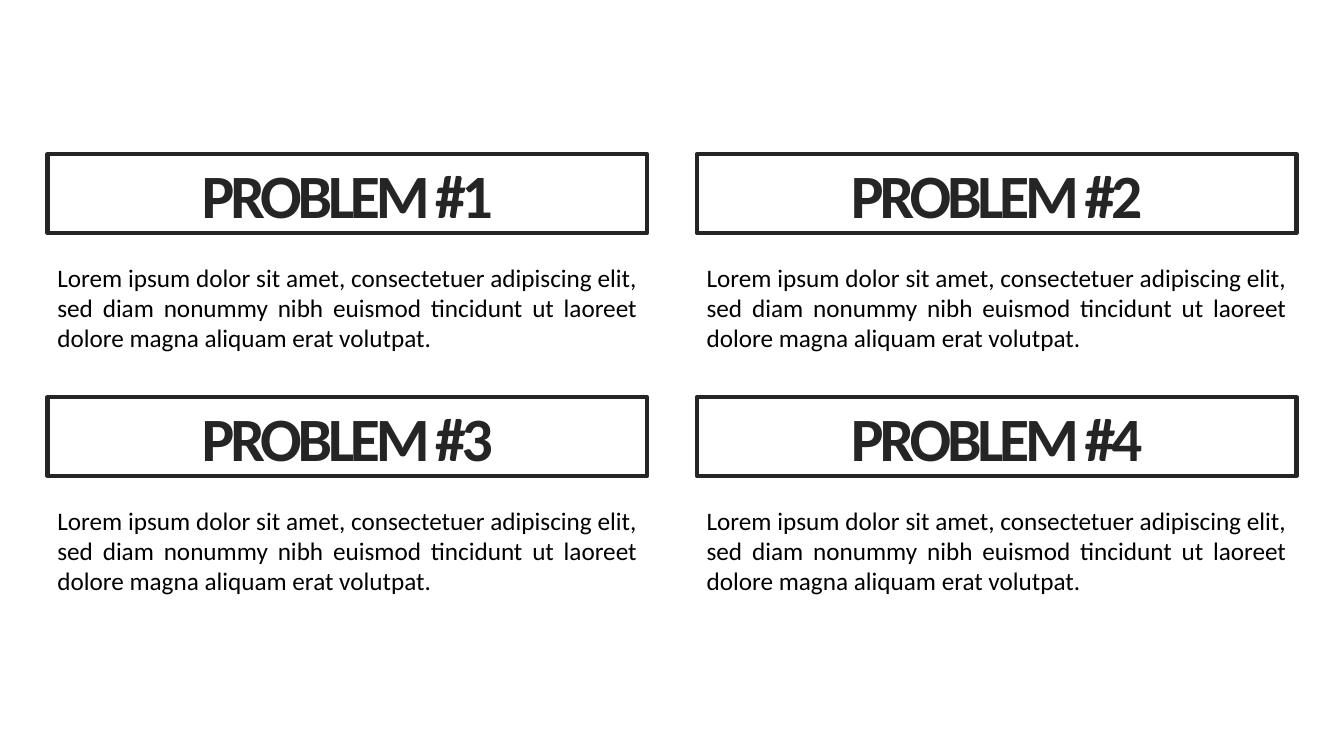
from pptx import Presentation
from pptx.dml.color import RGBColor
from pptx.enum.shapes import MSO_SHAPE
from pptx.enum.text import MSO_ANCHOR, MSO_AUTO_SIZE, PP_ALIGN
from pptx.util import Emu, Pt

PROBLEMS = ["PROBLEM #1", "PROBLEM #2", "PROBLEM #3", "PROBLEM #4"]
DESCRIPTION = (
    "Lorem ipsum dolor sit amet, consectetuer adipiscing elit, "
    "sed diam nonummy nibh euismod tincidunt ut laoreet "
    "dolore magna aliquam erat volutpat."
)
FONT = "Calibri"
DARK, BLACK = "252525", "000000"

EMU_PER_PX = 9144
PAGE_WIDTH, PAGE_HEIGHT = 1333, 750
COLUMNS = 2
LEFT, TOP = 47, 153
COLUMN_STEP, ROW_STEP = 644, 241
BLOCK_WIDTH, HEADING_HEIGHT = 595, 78
DESCRIPTION_OFFSET, DESCRIPTION_HEIGHT = 102, 101


def px(length):
    return Emu(length * EMU_PER_PX)


def color(value):
    return RGBColor.from_string(value)


def add_text(frame, text, size, fill, align):
    frame.word_wrap = True
    para = frame.paragraphs[0]
    para.alignment = align
    span = para.add_run()
    span.text = text
    span.font.name = FONT
    span.font.size = Pt(size)
    span.font.color.rgb = color(fill)
    return span


def add_heading(page, text, left, top):
    box = page.shapes.add_shape(
        MSO_SHAPE.RECTANGLE, px(left), px(top), px(BLOCK_WIDTH), px(HEADING_HEIGHT)
    )
    box.shadow.inherit = False
    box.fill.background()
    box.line.color.rgb = color(DARK)
    box.line.width = Pt(3)
    box.text_frame.vertical_anchor = MSO_ANCHOR.MIDDLE
    span = add_text(box.text_frame, text, 44, DARK, PP_ALIGN.CENTER)
    span.font.bold = True
    span.font._element.set("spc", "-300")


def add_description(page, left, top):
    box = page.shapes.add_textbox(
        px(left), px(top), px(BLOCK_WIDTH), px(DESCRIPTION_HEIGHT)
    )
    add_text(box.text_frame, DESCRIPTION, 18, BLACK, PP_ALIGN.JUSTIFY)
    box.text_frame.auto_size = MSO_AUTO_SIZE.SHAPE_TO_FIT_TEXT


def main():
    deck = Presentation()
    deck.slide_width, deck.slide_height = px(PAGE_WIDTH), px(PAGE_HEIGHT)
    page = deck.slides.add_slide(deck.slide_layouts[6])
    for index, problem in enumerate(PROBLEMS):
        row, column = divmod(index, COLUMNS)
        left = LEFT + column * COLUMN_STEP
        top = TOP + row * ROW_STEP
        add_heading(page, problem, left, top)
        add_description(page, left, top + DESCRIPTION_OFFSET)
    deck.save("out.pptx")


if __name__ == "__main__":
    main()
